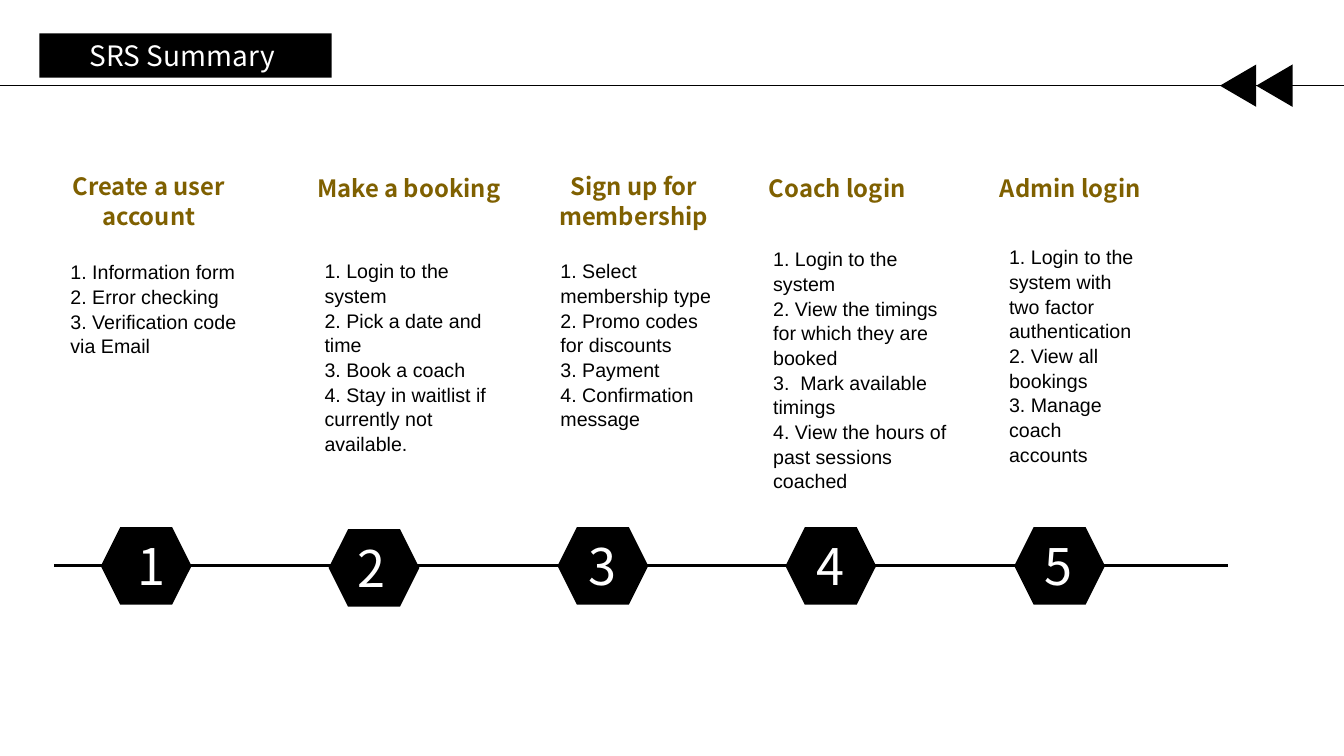
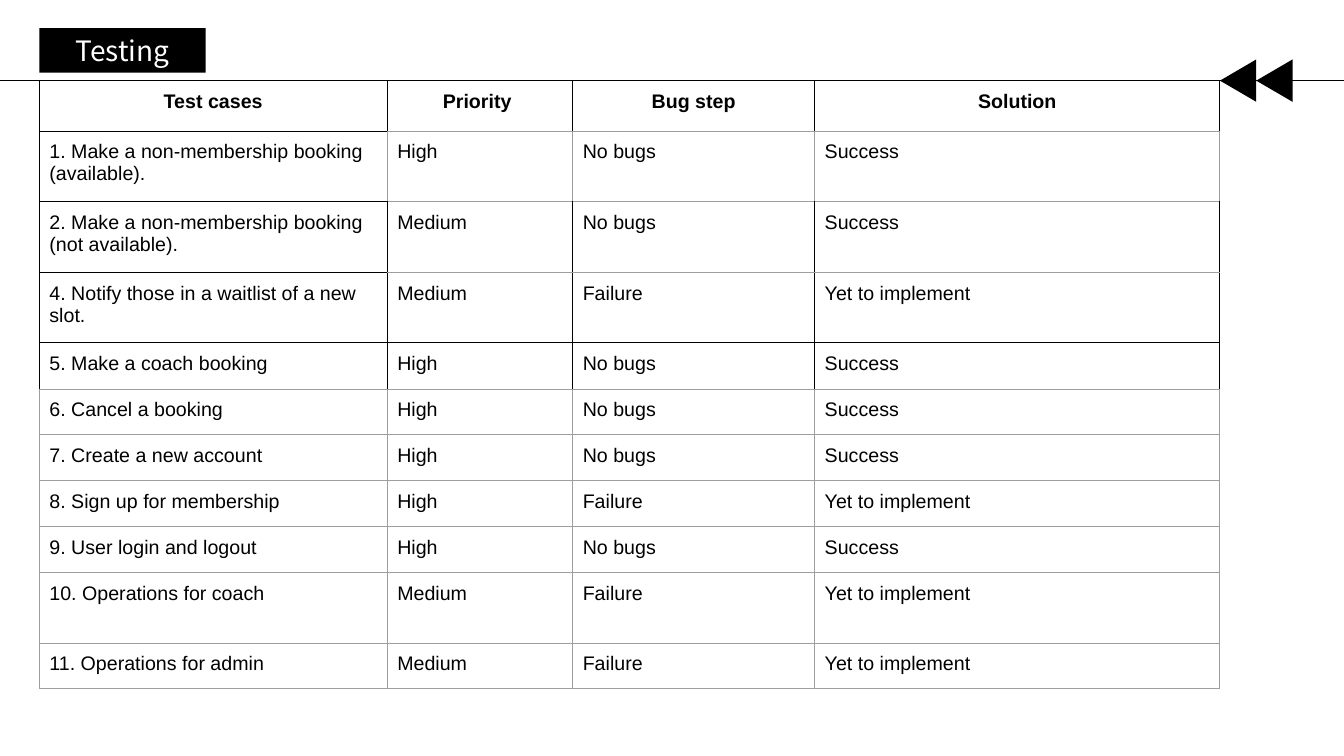
import lxml.etree
import pptx
import pptx.dml.color
import pptx.enum.shapes
import pptx.enum.text
import pptx.oxml
import pptx.oxml.ns
import pptx.util

PX = 9144  # 100 px to the inch
BLACK, WHITE, GOLD, GRAY = "000000", "FFFFFF", "7F6000", "9E9E9E"
DISPLAY_FONT, BODY_FONT = "Noto Sans CJK SC", "Arial"
DISPLAY_LEADING = 1.22
SHAPES = pptx.enum.shapes.MSO_SHAPE
LEFT = pptx.enum.text.PP_ALIGN.LEFT
CENTER = pptx.enum.text.PP_ALIGN.CENTER


def color(hex_string):
    return pptx.dml.color.RGBColor.from_string(hex_string)


def write_text(frame, lines, font, size, ink, bold=False, align=LEFT, spacing=None):
    frame.word_wrap = True
    frame.auto_size = pptx.enum.text.MSO_AUTO_SIZE.NONE
    for index, line in enumerate(lines):
        paragraph = frame.add_paragraph() if index else frame.paragraphs[0]
        paragraph.alignment = align
        paragraph.line_spacing = spacing
        run = paragraph.add_run()
        run.text = line
        run.font.name = font
        run.font.size = pptx.util.Pt(size)
        run.font.bold = bold
        run.font.color.rgb = color(ink)
        if font == DISPLAY_FONT:
            paragraph.line_spacing = pptx.util.Pt(round(size * DISPLAY_LEADING))
            east_asian = lxml.etree.SubElement(
                run.font._element, pptx.oxml.ns.qn("a:ea"))
            east_asian.set("typeface", font)


presentation = pptx.Presentation()
presentation.slide_width = 1333 * PX
presentation.slide_height = 750 * PX

# Shared header: title block, rule and double arrow
# title, title width, rule height, lines as (start, end, y, points)
headers = [
    ("SRS Summary ", 290, 85, [(0, 1333, 85, 0.75), (54, 1218, 561, 2)]),
    ("Testing", 165, 80, [(0, 1333, 80, 0.75)]),
]
for title_text, title_width, rule_y, lines in headers:
    slide = presentation.slides.add_slide(presentation.slide_layouts[5])
    slide.background.fill.solid()
    slide.background.fill.fore_color.rgb = color(WHITE)

    title = slide.shapes.title
    title.left, title.top = 39 * PX, (rule_y - 52) * PX
    title.width, title.height = title_width * PX, 44 * PX
    title.fill.solid()
    title.fill.fore_color.rgb = color(BLACK)
    title.text_frame.vertical_anchor = pptx.enum.text.MSO_ANCHOR.MIDDLE
    write_text(title.text_frame, [title_text], DISPLAY_FONT, 20, WHITE, align=CENTER)

    for start, end, y, points in lines:
        line = slide.shapes.add_connector(
            pptx.enum.shapes.MSO_CONNECTOR.STRAIGHT,
            start * PX, y * PX, end * PX, y * PX)
        line.line.color.rgb = color(BLACK)
        line.line.width = pptx.util.Pt(points)
        lxml.etree.SubElement(line._element.spPr, pptx.oxml.ns.qn("a:effectLst"))

    for left in (1243, 1207):
        arrow = slide.shapes.add_shape(
            SHAPES.ISOSCELES_TRIANGLE, left * PX, (rule_y - 18) * PX, 42 * PX, 36 * PX)
        arrow.rotation = 270
        arrow.shadow.inherit = False
        arrow.fill.solid()
        arrow.fill.fore_color.rgb = color(BLACK)
        arrow.line.fill.background()

summary_slide, testing_slide = presentation.slides

# Summary: numbered timeline with a heading and a list for each step
# heading, heading box, list box, number left, hexagon top, list lines
steps = [
    ("Create a user account", (39, 165, 217, 67), (60, 247, 196, 114), 127, 523,
     ["1. Information form", "2. Error checking", "3. Verification code via Email"]),
    ("Make a booking", (289, 167, 233, 39), (312, 246, 181, 209), 345, 525,
     ["1. Login to the system", "2. Pick a date and time", "3. Book a coach",
      "4. Stay in waitlist if currently not available."]),
    ("Sign up for membership", (520, 165, 217, 67), (546, 246, 181, 185), 574, 523,
     ["1. Select membership type", "2. Promo codes for discounts", "3. Payment",
      "4. Confirmation message"]),
    ("Coach login", (722, 167, 217, 39), (757, 234, 196, 256), 800, 523,
     ["1. Login to the system", "2. View the timings for which they are booked",
      "3.  Mark available timings", "4. View the hours of past sessions coached"]),
    ("Admin login", (953, 167, 217, 39), (991, 232, 153, 232), 1026, 523,
     ["1. Login to the system with two factor authentication",
      "2. View all bookings", "3. Manage coach accounts"]),
]
for index, step in enumerate(steps):
    heading, heading_box, list_box, number_left, hexagon_top, list_lines = step
    hexagon = summary_slide.shapes.add_shape(
        SHAPES.HEXAGON, (100 + 453 * index // 2) * PX, hexagon_top * PX, 90 * PX, 77 * PX)
    hexagon.adjustments[0] = 0.25
    hexagon.shadow.inherit = False
    hexagon.fill.solid()
    hexagon.fill.fore_color.rgb = color(BLACK)
    hexagon.line.fill.background()

    number_box = (number_left, hexagon_top + 2, 62, 71)
    for box, text, font, size, ink, bold, align, spacing, inset in [
        (number_box, [str(index + 1)], DISPLAY_FONT, 36, WHITE, False, LEFT, None, 5),
        (heading_box, [heading], DISPLAY_FONT, 17, GOLD, True, CENTER, None, 5),
        (list_box, list_lines, BODY_FONT, 14, BLACK, False, LEFT, 1.05, 10),
    ]:
        text_box = summary_slide.shapes.add_textbox(*[length * PX for length in box])
        text_box.text_frame.margin_left = text_box.text_frame.margin_right = 10 * PX
        text_box.text_frame.margin_top = text_box.text_frame.margin_bottom = inset * PX
        write_text(text_box.text_frame, text, font, size, ink, bold, align, spacing)

# Testing: table of test cases
cases = [
    ("Test cases", "Priority ", "Bug step", "Solution"),
    ("1. Make a non-membership booking (available).", "High", "No bugs", "Success"),
    ("2. Make a non-membership booking (not available).", "Medium", "No bugs", "Success"),
    ("4. Notify those in a waitlist of a new slot.", "Medium", "Failure",
     "Yet to implement"),
    ("5. Make a coach booking", "High", "No bugs", "Success"),
    ("6. Cancel a booking", "High", "No bugs", "Success"),
    ("7. Create a new account", "High", "No bugs", "Success"),
    ("8. Sign up for membership", "High", "Failure", "Yet to implement"),
    ("9. User login and logout", "High", "No bugs", "Success"),
    ("10. Operations for coach", "Medium", "Failure", "Yet to implement"),
    ("11. Operations for admin", "Medium", "Failure", "Yet to implement"),
]
column_widths = [345, 184, 240, 402]
row_heights = [50, 70, 70, 70, 46, 45, 46, 45, 46, 70, 45]
# Black sides by row: first cell, other cells; every other side is gray
black_sides = {0: ("LRTB", "LRT"), 1: ("LTB", ""), 2: ("LRTB", "LR"),
               3: ("LRTB", "LRB"), 4: ("LRT", "LRT")}

table = testing_slide.shapes.add_table(
    len(cases), len(column_widths), 39 * PX, 80 * PX,
    sum(column_widths) * PX, sum(row_heights) * PX).table
table.first_row = False
table.horz_banding = False
for column, width in zip(table.columns, column_widths):
    column.width = width * PX
for row, height in zip(table.rows, row_heights):
    row.height = height * PX

for row_index, case in enumerate(cases):
    first_sides, other_sides = black_sides.get(row_index, ("", ""))
    for column_index, text in enumerate(case):
        cell = table.cell(row_index, column_index)
        cell.margin_left = cell.margin_right = 10 * PX
        cell.margin_top = cell.margin_bottom = 10 * PX
        is_header = row_index == 0
        write_text(cell.text_frame, [text], BODY_FONT, 14, BLACK, is_header,
                   CENTER if is_header else LEFT)
        dark = other_sides if column_index else first_sides
        for side in "LRTB":
            border = pptx.oxml.parse_xml(
                f'<a:ln{side} {pptx.oxml.ns.nsdecls("a")} w="{pptx.util.Pt(0.75)}">'
                f'<a:solidFill><a:srgbClr val="{BLACK if side in dark else GRAY}"/>'
                f'</a:solidFill></a:ln{side}>')
            cell._tc.get_or_add_tcPr().append(border)
        cell.fill.background()

presentation.save("out.pptx")
